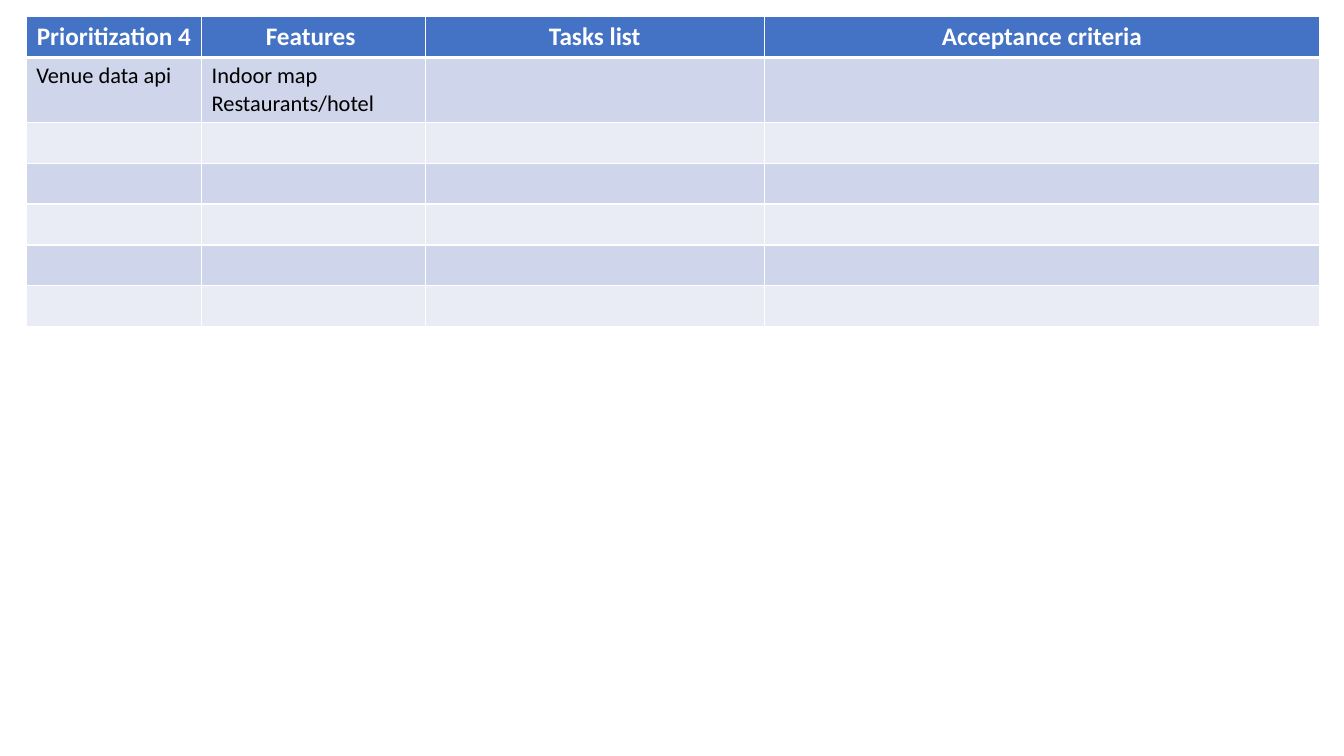
import pptx
import pptx.dml.color
import pptx.enum.text
import pptx.oxml
import pptx.oxml.ns
import pptx.util

Inches = pptx.util.Inches
Pt = pptx.util.Pt
RGBColor = pptx.dml.color.RGBColor

WHITE = RGBColor(0xFF, 0xFF, 0xFF)
BLACK = RGBColor(0, 0, 0)
HEADER_BLUE = RGBColor(0x44, 0x72, 0xC4)
BAND_DARK = RGBColor(0xCF, 0xD5, 0xEA)
BAND_LIGHT = RGBColor(0xE9, 0xEB, 0xF5)

HEADINGS = ["Prioritization 4", "Features ", "Tasks list", "Acceptance criteria"]
FIRST_TASK = ["Venue data api ", "Indoor map\nRestaurants/hotel", "", ""]
EMPTY_ROWS = 5
COLUMN_WIDTHS = [1.74, 2.22, 3.36, 5.51]
ROW_HEIGHTS = [0.41, 0.64] + [2.02 / EMPTY_ROWS] * EMPTY_ROWS


def set_borders(cell, top, bottom):
    """Draw white borders; widths are in points."""
    properties = cell._tc.get_or_add_tcPr()
    for side, width in (("L", 1), ("R", 1), ("T", top), ("B", bottom)):
        properties.append(pptx.oxml.parse_xml(
            f'<a:ln{side} {pptx.oxml.ns.nsdecls("a")} w="{Pt(width)}">'
            f'<a:solidFill><a:srgbClr val="{WHITE}"/></a:solidFill></a:ln{side}>'))


def fill_cell(cell, text, fill, color, size, bold, align):
    cell.fill.solid()
    cell.fill.fore_color.rgb = fill
    cell.text_frame.text = text
    for paragraph in cell.text_frame.paragraphs:
        paragraph.alignment = align
        for run in paragraph.runs:
            run.font.name = "Calibri"
            run.font.size = Pt(size)
            run.font.bold = bold
            run.font.color.rgb = color


def add_backlog(slide):
    rows = [HEADINGS, FIRST_TASK] + [[""] * len(HEADINGS)] * EMPTY_ROWS
    backlog = slide.shapes.add_table(
        len(rows), len(HEADINGS), Inches(0.26), Inches(0.16),
        Inches(sum(COLUMN_WIDTHS)), Inches(sum(ROW_HEIGHTS))).table
    for column, width in zip(backlog.columns, COLUMN_WIDTHS):
        column.width = Inches(width)
    for row, height in zip(backlog.rows, ROW_HEIGHTS):
        row.height = Inches(height)

    for r, texts in enumerate(rows):
        for c, text in enumerate(texts):
            cell = backlog.cell(r, c)
            # The rule under the header is heavier
            set_borders(cell, top=3 if r == 1 else 1, bottom=3 if r == 0 else 1)
            if r == 0:
                fill_cell(cell, text, HEADER_BLUE, WHITE, 18, True,
                          pptx.enum.text.PP_ALIGN.CENTER)
            else:
                band = BAND_DARK if r % 2 else BAND_LIGHT
                fill_cell(cell, text, band, BLACK, 16, False,
                          pptx.enum.text.PP_ALIGN.LEFT)


def main():
    presentation = pptx.Presentation()
    presentation.slide_width = Inches(13.33)
    presentation.slide_height = Inches(7.5)
    # Blank layout: the slide has no title
    slide = presentation.slides.add_slide(presentation.slide_layouts[6])
    add_backlog(slide)
    presentation.save("out.pptx")


main()
